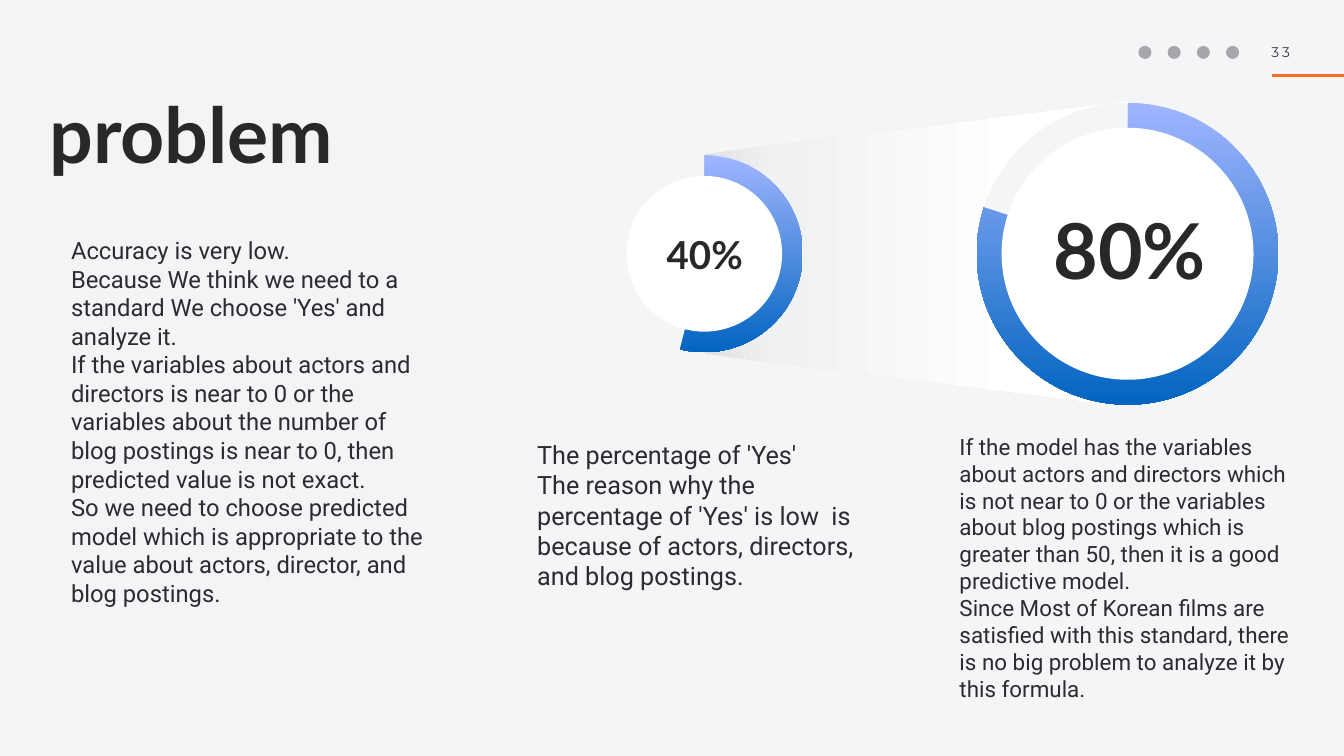
from copy import deepcopy

from lxml import etree
from pptx import Presentation
from pptx.chart.data import CategoryChartData
from pptx.dml.color import RGBColor
from pptx.enum.chart import XL_CHART_TYPE
from pptx.enum.shapes import MSO_CONNECTOR, MSO_SHAPE
from pptx.enum.text import MSO_ANCHOR, PP_ALIGN
from pptx.oxml import parse_xml
from pptx.oxml.ns import nsdecls, qn
from pptx.util import Inches, Pt

PIE = XL_CHART_TYPE.PIE
RECT, OVAL = MSO_SHAPE.RECTANGLE, MSO_SHAPE.OVAL
STRAIGHT = MSO_CONNECTOR.STRAIGHT
LEFT, CENTER, JUSTIFY = PP_ALIGN.LEFT, PP_ALIGN.CENTER, PP_ALIGN.JUSTIFY
TOP, MIDDLE = MSO_ANCHOR.TOP, MSO_ANCHOR.MIDDLE

BG, PANEL, WHITE = "F4F5F7", "F3F4F6", "FFFFFF"
GREY, ORANGE = "A6A7AC", "F56C2E"
DARK, BODY, NUMBER = "282828", "2A2C2F", "393941"
RING = [(0, "A0B5FF"), (1, "0365C0")]
BEAM = [(0, "E1E2E4"), (0.17, "F0F1F2"), (0.74, WHITE)]

PROBLEM = [
    "Accuracy is very low.",
    "Because We think we need to a standard We choose 'Yes' and analyze it.",
    "If the variables about actors and directors is near to 0 or the variables "
    "about the number of blog postings is near to 0, then predicted value is not exact.",
    "So we need to choose predicted model which is appropriate to the value "
    "about actors, director, and blog postings.",
]
LOW_YES = [
    "The percentage of 'Yes'",
    "The reason why the percentage of 'Yes' is low  is because of actors, "
    "directors, and blog postings.",
]
GOOD_MODEL = [
    "If the model has the variables about actors and directors which is not near "
    "to 0 or the variables about blog postings which is greater than 50, then it "
    "is a good predictive model.",
    "Since Most of Korean films are satisfied with this standard, there is no big "
    "problem to analyze it by this formula.",
]


def rgb(color):
    return RGBColor.from_string(color)


def set_solid(fill, color):
    fill.solid()
    fill.fore_color.rgb = rgb(color)


def set_stops(fill, stops, angle):
    fill.gradient_angle = angle
    for stop, (position, color) in zip(fill.gradient_stops, stops):
        stop.position = position
        stop.color.rgb = rgb(color)


def add_shape(s, kind, box, color):
    sp = s.shapes.add_shape(kind, *map(Inches, box))
    sp.shadow.inherit = False
    set_solid(sp.fill, color)
    sp.line.fill.background()
    return sp


def add_text(s, box, lines, font, size, color, bold=False, align=LEFT,
             anchor=TOP, wrap=True, spacing=None, tracking=None):
    tf = s.shapes.add_textbox(*map(Inches, box)).text_frame
    tf.word_wrap = wrap
    tf.vertical_anchor = anchor
    tf.margin_left = tf.margin_right = tf.margin_top = tf.margin_bottom = Inches(0.04)
    tf.text = "\n".join(lines)
    for p in tf.paragraphs:
        p.alignment = align
        p.line_spacing = spacing
        p.font.name, p.font.size, p.font.bold = font, Pt(size), bold
        p.font.color.rgb = rgb(color)
        if tracking:
            for r in p.runs:
                r.font._element.set("spc", str(tracking * 100))


def add_beam(s, points):
    """Light cone that links the two rings."""
    start, *rest = [(Inches(x), Inches(y)) for x, y in points]
    builder = s.shapes.build_freeform(*start)
    builder.add_line_segments(rest, close=True)
    sp = builder.convert_to_shape()
    sp.shadow.inherit = False
    sp.line.fill.background()
    sp.fill.gradient()
    # A new gradient has two stops; the beam needs a third
    stop_list = sp._element.spPr.find(".//" + qn("a:gsLst"))
    stop_list.append(deepcopy(stop_list[0]))
    set_stops(sp.fill, BEAM, 0)


def clear_chart_background(chart):
    """Transparent chart area, and a pie that fills its frame."""
    space = chart._chartSpace
    no_fill = parse_xml(f'<c:spPr {nsdecls("c", "a")}><a:noFill/>'
                        '<a:ln><a:noFill/></a:ln></c:spPr>')
    space.find(qn("c:chart")).addnext(no_fill)
    plot_area = space.find(".//" + qn("c:plotArea"))
    plot_area.append(deepcopy(no_fill))
    for old in plot_area.findall(qn("c:layout")):
        plot_area.remove(old)
    layout = etree.Element(qn("c:layout"))
    manual = etree.SubElement(layout, qn("c:manualLayout"))
    for tag, value in [("layoutTarget", "inner"), ("xMode", "edge"), ("yMode", "edge"),
                       ("x", 0.005), ("y", 0.005), ("w", 0.99), ("h", 0.99)]:
        etree.SubElement(manual, qn(f"c:{tag}")).set("val", str(value))
    plot_area.insert(0, layout)


def add_ring(s, left, top, size, hole, share):
    """Pie chart with a white disc over its centre."""
    data = CategoryChartData()
    data.categories = ["1", "2"]
    data.add_series("Series 1", (share, 100 - share))
    frame = s.shapes.add_chart(PIE, *map(Inches, (left, top, size, size)), data)
    chart = frame.chart
    chart.has_legend = chart.has_title = False
    chart.font.name, chart.font.size = "Montserrat", Pt(10)
    chart.font.color.rgb = rgb(GREY)
    clear_chart_background(chart)
    plot = chart.plots[0]
    plot.vary_by_categories = False
    filled, remainder = [plot.series[0].points[i].format for i in range(2)]
    filled.fill.gradient()
    set_stops(filled.fill, RING, 270)
    set_solid(remainder.fill, BG)
    for part in (filled, remainder):
        part.line.fill.background()

    inset = (size - hole) / 2
    add_shape(s, OVAL, (left + inset, top + inset, hole, hole), WHITE)


def add_header(s):
    # Plain dots in place of the social icons
    for center in (22.72, 23.3, 23.88, 24.46):
        add_shape(s, OVAL, (center - 0.13, 0.91, 0.26, 0.26), GREY)
    rule = s.shapes.add_connector(STRAIGHT, *map(Inches, (25.24, 1.5, 26.67, 1.5)))
    rule.line.color.rgb = rgb(ORANGE)
    rule.line.width = Pt(4)
    etree.SubElement(rule._element.spPr, qn("a:effectLst"))
    add_text(s, (25.19, 0.83, 0.66, 0.42), ["33"], "Montserrat", 20, NUMBER, tracking=4)


def main():
    prs = Presentation()
    prs.slide_width, prs.slide_height = Inches(26.67), Inches(15)
    s = prs.slides.add_slide(prs.slide_layouts[6])
    set_solid(s.background.fill, BG)

    # Beam and left panel
    add_beam(s, [(13.99, 3.06), (22.36, 2.01), (22.36, 8.07), (13.99, 7.02)])
    add_shape(s, RECT, (0, 0, 9.3, 15), PANEL)
    add_header(s)

    # Title and problem statement
    add_text(s, (0.94, 1.88, 7.56, 2.2), ["problem"], "Lato", 110, DARK,
             bold=True, align=JUSTIFY, spacing=0.9)
    add_text(s, (1.37, 4.64, 7.13, 8.08), PROBLEM, "Roboto", 34, BODY)

    # Rings with their percentages
    add_ring(s, 12, 3.06, 3.95, 3.09, 54)
    add_ring(s, 19.35, 2.01, 6.05, 5, 80)
    for box, label, size in [((13.16, 4.64, 1.65, 0.92), "40%", 55),
                             ((20.81, 4.18, 3.22, 1.75), "80%", 110)]:
        add_text(s, box, [label], "Lato", size, DARK, bold=True, align=CENTER,
                 anchor=MIDDLE, wrap=False, spacing=0.9)

    # Explanations under the rings
    add_text(s, (10.62, 8.68, 6.73, 3.59), LOW_YES, "Roboto", 36, BODY)
    add_text(s, (19, 8.55, 6.73, 5.46), GOOD_MODEL, "Roboto", 32, BODY)

    prs.save("out.pptx")


if __name__ == "__main__":
    main()
